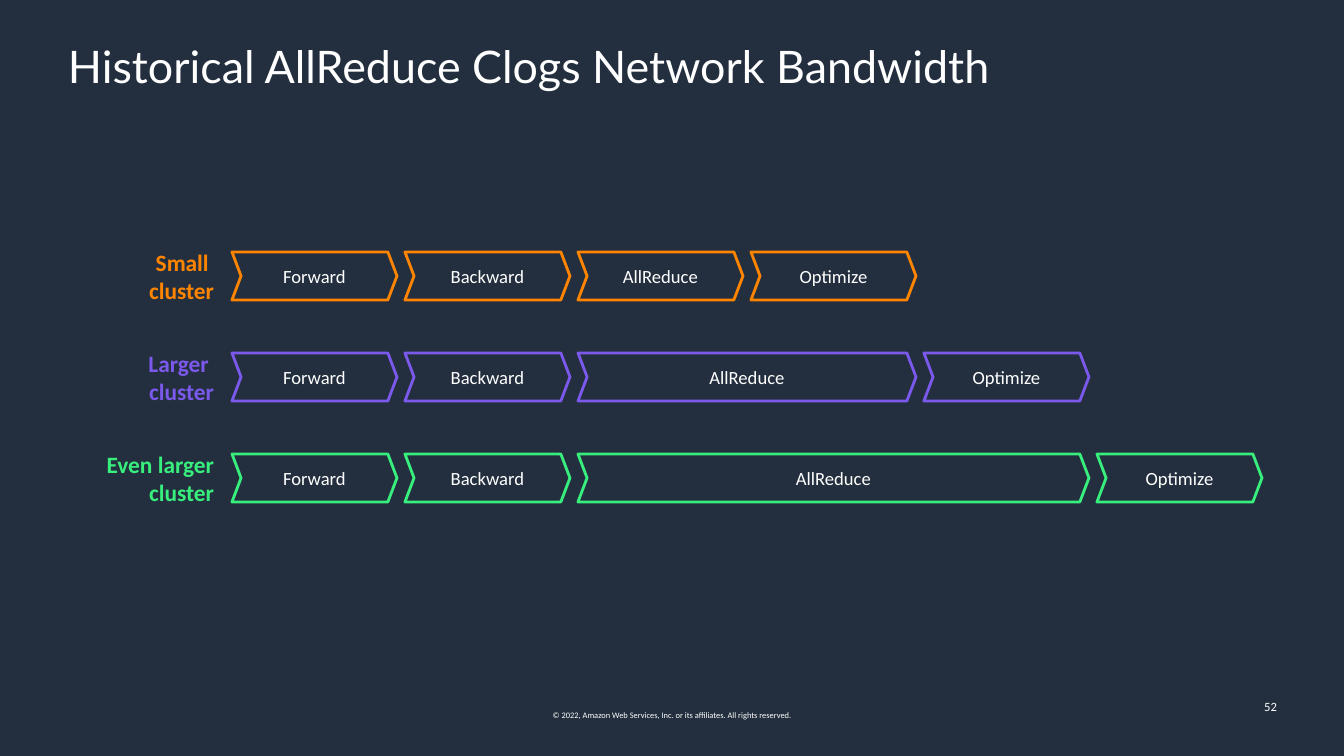
from lxml.etree import SubElement
from pptx import Presentation
from pptx.dml.color import RGBColor
from pptx.enum.shapes import MSO_SHAPE
from pptx.enum.text import MSO_ANCHOR, PP_ALIGN
from pptx.oxml.ns import qn
from pptx.util import Emu, Pt

NAVY = RGBColor(0x23, 0x2F, 0x3E)
WHITE = RGBColor(0xFF, 0xFF, 0xFF)
ORANGE = RGBColor(0xFF, 0x85, 0x00)
PURPLE = RGBColor(0x7C, 0x59, 0xED)
GREEN = RGBColor(0x38, 0xEF, 0x7D)


def px(length):
    return Emu(round(length * 914400 / 100.8))


def write(frame, text, size, color=WHITE, font="Calibri", bold=False,
          align=PP_ALIGN.LEFT, spacing=1.0, insets=(10, 5, 10, 5),
          anchor=MSO_ANCHOR.TOP, wrap=True):
    frame.word_wrap = wrap
    frame.vertical_anchor = anchor
    (frame.margin_left, frame.margin_top,
     frame.margin_right, frame.margin_bottom) = map(px, insets)
    paragraph = frame.paragraphs[0]
    paragraph.alignment = align
    paragraph.line_spacing = spacing
    for number, line in enumerate(text.split("\n")):
        if number:
            paragraph.add_line_break()
        run = paragraph.add_run()
        run.text = line
        run.font.name = font
        run.font.size = Pt(size)
        run.font.bold = bold
        run.font.color.rgb = color
    # Line breaks take the text size too
    for line_break in paragraph._p.findall(qn("a:br")):
        SubElement(line_break, qn("a:rPr"), sz=str(round(size * 100)))


class Deck:
    step_fill_inset = (17, 17, 17, 13)
    step_size = 13.3
    label_size = 16.7

    def __init__(self):
        self.presentation = Presentation()
        self.presentation.slide_width = px(1344)
        self.presentation.slide_height = px(756)
        layout = self.presentation.slide_layouts[6]
        self.slide = self.presentation.slides.add_slide(layout)
        background = self.slide.background.fill
        background.solid()
        background.fore_color.rgb = NAVY

    def text(self, text, left, top, width, height, **style):
        box = self.slide.shapes.add_textbox(
            px(left), px(top), px(width), px(height))
        write(box.text_frame, text, **style)

    def label(self, text, left, top, color):
        self.text(text, left, top, 141, 67, size=self.label_size, color=color,
                  bold=True, align=PP_ALIGN.RIGHT, insets=(0, 5, 10, 5))

    def step(self, text, left, top, width, height, color):
        chevron = self.slide.shapes.add_shape(
            MSO_SHAPE.CHEVRON, px(left), px(top), px(width), px(height))
        chevron.adjustments[0] = 0.19
        chevron.shadow.inherit = False
        chevron.fill.background()
        chevron.line.color.rgb = color
        chevron.line.width = Pt(2)
        write(chevron.text_frame, text, size=self.step_size, spacing=0.9,
              align=PP_ALIGN.CENTER, anchor=MSO_ANCHOR.MIDDLE,
              insets=self.step_fill_inset)


STEPS = ("Forward", "Backward", "AllReduce", "Optimize")
# Label, colour and number of time units that AllReduce takes
CLUSTERS = (
    ("Small \ncluster", ORANGE, 1),
    ("Larger \ncluster", PURPLE, 2),
    ("Even larger cluster", GREEN, 3),
)
FIRST_LEFT, FIRST_TOP = 232, 252
UNIT, GAP, ROW_PITCH, STEP_HEIGHT = 173, 8, 101, 48


def main():
    deck = Deck()

    # Title and footer
    deck.text("Historical AllReduce Clogs Network Bandwidth", 68, 40, 1210, 59,
              size=32, font="Lato", spacing=0.9, insets=(0, 5, 0, 5))
    deck.text("© 2022, Amazon Web Services, Inc. or its affiliates. "
              "All rights reserved.", 529, 705, 286, 20,
              size=6, align=PP_ALIGN.CENTER, wrap=False)

    # One timeline per cluster size
    for row, (cluster, color, reduce_units) in enumerate(CLUSTERS):
        top = FIRST_TOP + row * ROW_PITCH
        deck.label(cluster, 83, top - 9, color)
        left = FIRST_LEFT
        for step in STEPS:
            span = UNIT * (reduce_units if step == "AllReduce" else 1)
            deck.step(step, left, top, span - GAP, STEP_HEIGHT, color)
            left += span

    # Page number
    deck.text("52", 985, 694, 302, 40, size=9, align=PP_ALIGN.RIGHT)

    deck.presentation.save("out.pptx")


if __name__ == "__main__":
    main()
